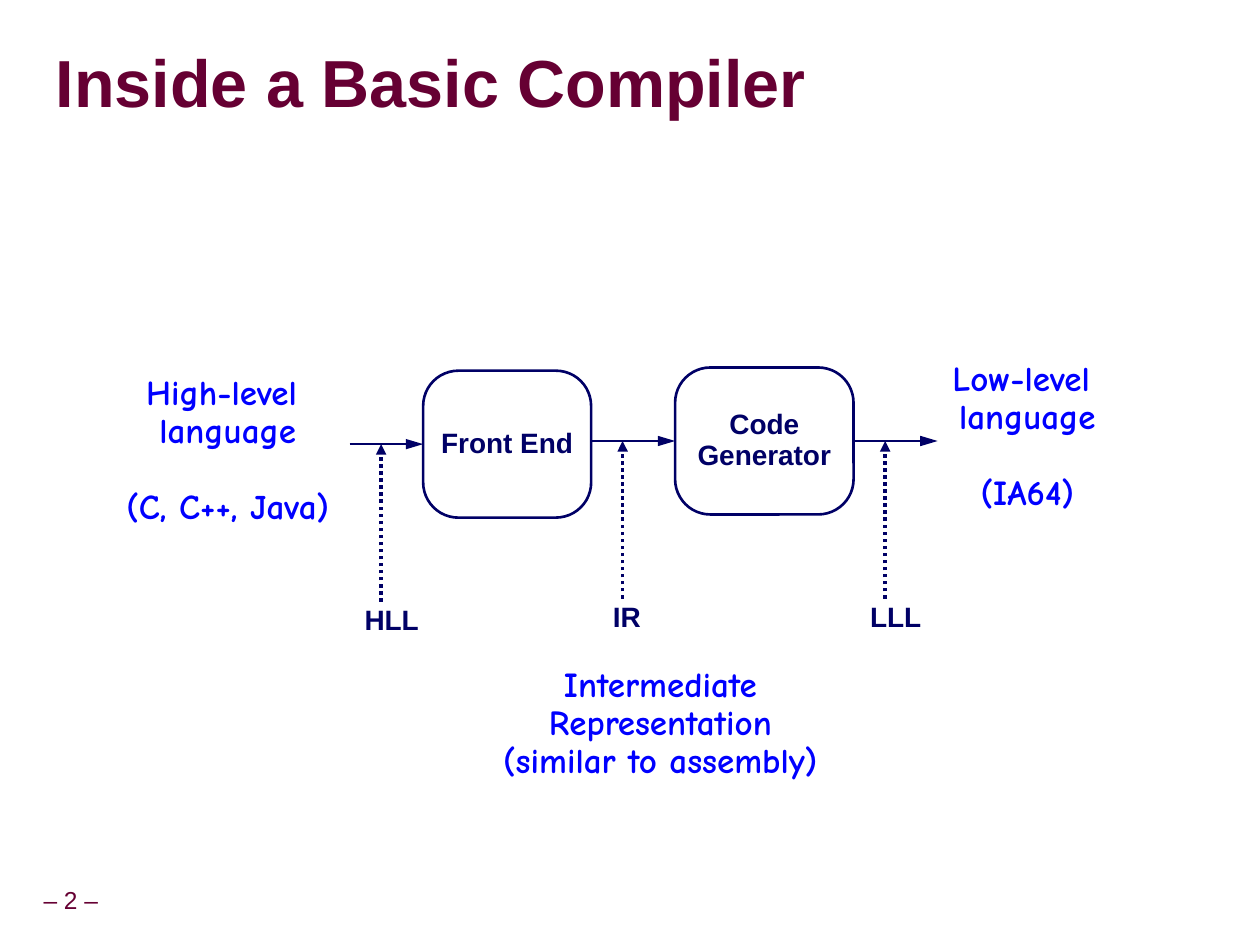
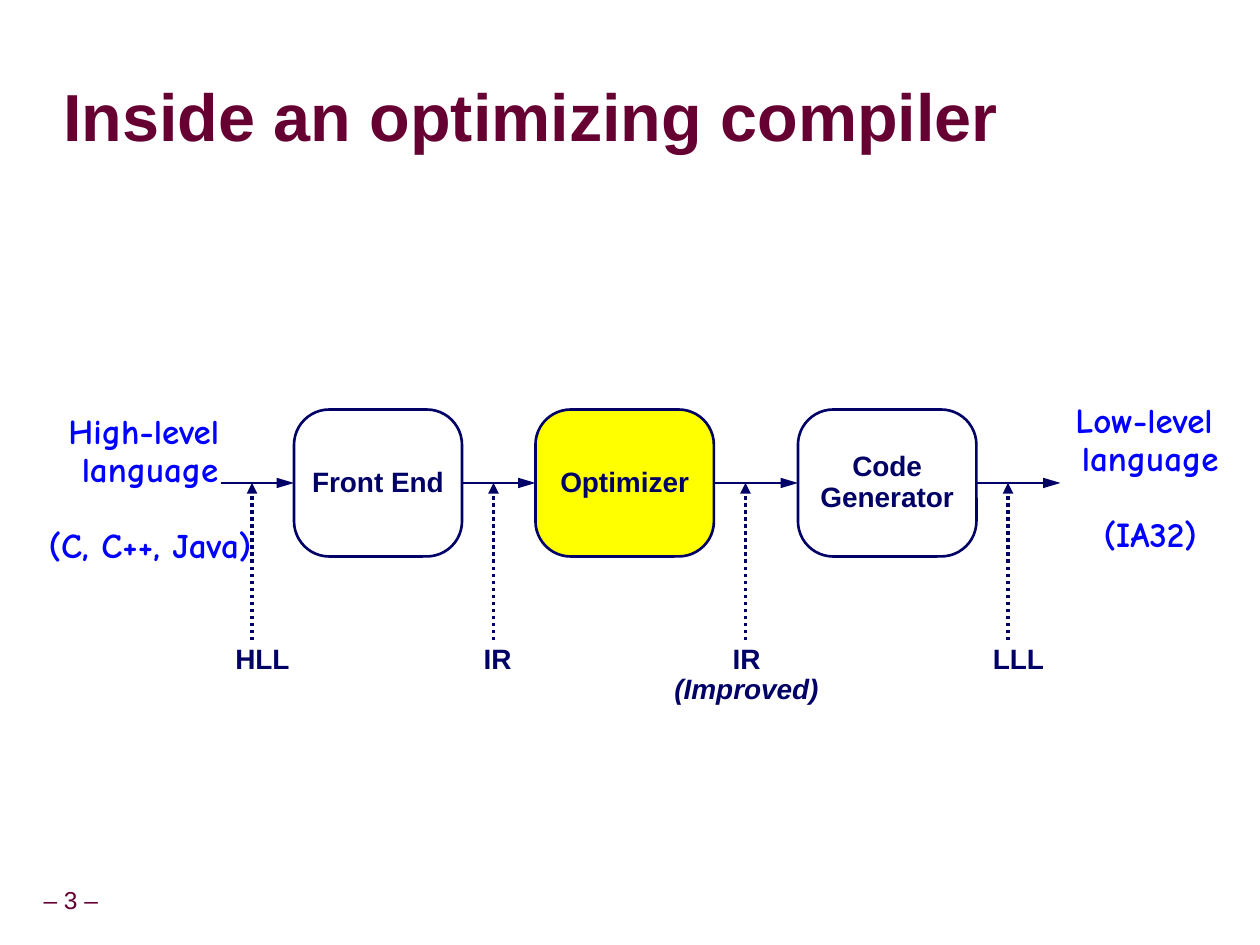
from dataclasses import dataclass

from lxml import etree
from pptx import Presentation
from pptx.dml.color import RGBColor
from pptx.enum.dml import MSO_LINE
from pptx.enum.shapes import MSO_CONNECTOR, MSO_SHAPE
from pptx.enum.text import MSO_ANCHOR, MSO_AUTO_SIZE, PP_ALIGN
from pptx.oxml import parse_xml
from pptx.oxml.ns import qn
from pptx.util import Inches, Pt

CENTER, LEFT = PP_ALIGN.CENTER, PP_ALIGN.LEFT
TOP, MIDDLE = MSO_ANCHOR.TOP, MSO_ANCHOR.MIDDLE
NO_FIT = MSO_AUTO_SIZE.NONE
STRAIGHT, ROUNDED, DOTTED = MSO_CONNECTOR.STRAIGHT, MSO_SHAPE.ROUNDED_RECTANGLE, MSO_LINE.ROUND_DOT

MAROON, NAVY, BLUE, YELLOW = "660033", "000066", "0000FF", "FFFF00"
ARIAL, COMIC = "Arial", "Comic Neue"
WIDTH, HEIGHT = Inches(10), Inches(7.5)
COLS, ROWS = 120, 90
STAGE_ROWS, POINTER_ROWS, LABEL_DROP, POINTER_INSET = 14, 15, 22, 3
NOTE_ROWS, NOTE_GAP = 15.5, Pt(21.7)
SHADOW = (
    '<a:effectLst xmlns:a="http://schemas.openxmlformats.org/drawingml/2006/main">'
    '<a:outerShdw dist="38100" dir="2700000" algn="tl"><a:srgbClr val="C0C0C0"/>'
    '</a:outerShdw></a:effectLst>'
)


@dataclass
class Flow:
    """An arrow, and the label of the language it carries."""
    length: float
    label: str
    label_cols: float
    nudge: float
    remark: str = ""


@dataclass
class Stage:
    """A compiler stage that follows a flow."""
    cols: float
    lines: tuple
    fill: str = ""
    drop: float = 0


def rgb(value):
    """Turn a hex string into a colour."""
    return RGBColor.from_string(value)


def col(n):
    """Give the length of n grid columns."""
    return round(WIDTH * n / COLS)


def row(n):
    """Give the length of n grid rows."""
    return round(HEIGHT * n / ROWS)


def frame(tf, anchor=TOP, margin_x=0.09, margin_y=0.04, wrap=False):
    """Set the margins, anchor and wrapping of a text frame."""
    tf.auto_size = NO_FIT
    tf.word_wrap = wrap
    tf.vertical_anchor = anchor
    tf.margin_left = tf.margin_right = Inches(margin_x)
    tf.margin_top = tf.margin_bottom = Inches(margin_y)


def write(tf, lines, size, font, color, bold=True, italic=False, align=CENTER, spacing=0.9):
    """Append one formatted paragraph per line and return the last one's run."""
    for line in lines:
        p = tf.paragraphs[0]
        if p.runs:
            p = tf.add_paragraph()
        p.alignment, p.line_spacing = align, spacing
        r = p.add_run()
        r.text = line
        r.font.size, r.font.name = Pt(size), font
        r.font.bold, r.font.italic = bold, italic
        r.font.color.rgb = rgb(color)
    return r


def text_box(slide, x, y, cols, rows):
    """Add an unwrapped text box on the grid and return its text frame."""
    tf = slide.shapes.add_textbox(col(x), row(y), col(cols), row(rows)).text_frame
    frame(tf)
    return tf


def note(slide, x, y, cols, lines, example=""):
    """Add a blue remark, with an example set apart below it."""
    tf = text_box(slide, x, y, cols, NOTE_ROWS)
    write(tf, lines, 20, COMIC, BLUE)
    if example:
        write(tf, [example], 20, COMIC, BLUE)
        tf.paragraphs[-1].space_before = NOTE_GAP


def arrow(slide, start, end, weight, length, dash=None):
    """Draw a navy arrow between two grid points."""
    s = slide.shapes.add_connector(
        STRAIGHT, col(start[0]), row(start[1]), col(end[0]), row(end[1]))
    s.line.color.rgb = rgb(NAVY)
    s.line.width = Pt(weight)
    if dash:
        s.line.dash_style = dash
    ln = s.line._get_or_add_ln()
    etree.SubElement(ln, qn("a:tailEnd"), type="triangle", w="med", len=length)
    etree.SubElement(s._element.spPr, qn("a:effectLst"))


def draw_stage(slide, stage, x, y):
    """Draw a rounded box for a compiler stage."""
    s = slide.shapes.add_shape(ROUNDED, col(x), row(y), col(stage.cols), row(STAGE_ROWS))
    s.adjustments[0] = 0.24
    s.shadow.inherit = False
    s.line.color.rgb = rgb(NAVY)
    s.line.width = Pt(1.5)
    if stage.fill:
        s.fill.solid()
        s.fill.fore_color.rgb = rgb(stage.fill)
    else:
        s.fill.background()
    frame(s.text_frame, MIDDLE)
    write(s.text_frame, stage.lines, 16, ARIAL, NAVY)


def draw_flow(slide, flow, x, y):
    """Draw an arrow with a dotted pointer rising from its label."""
    middle, pointer = y + STAGE_ROWS / 2, x + POINTER_INSET
    arrow(slide, (x, middle), (x + flow.length, middle), 1.5, "lg")
    arrow(slide, (pointer, middle + POINTER_ROWS), (pointer, middle), 2, "med", DOTTED)
    left = pointer + flow.nudge - flow.label_cols / 2
    tf = text_box(slide, left, y + LABEL_DROP, flow.label_cols, 4)
    write(tf, [flow.label], 16, ARIAL, NAVY)
    if flow.remark:
        write(tf, [flow.remark], 16, ARIAL, NAVY, italic=True)


def pipeline(slide, x, y, flows, stages, source_x, target):
    """Chain flows and stages from a grid point, with a note at each end."""
    note(slide, source_x, y + stages[0].drop, 21.6, ("High-level ", "language"), "(C, C++, Java)")
    for flow, stage in zip(flows, stages):
        draw_flow(slide, flow, x, y + stage.drop)
        x += flow.length
        draw_stage(slide, stage, x, y + stage.drop)
        x += stage.cols
    draw_flow(slide, flows[-1], x, y)
    note(slide, x + flows[-1].length + 0.3, y - 1.05, 16.5, ("Low-level ", "language"), target)


def titled_slide(prs, title, box, number):
    """Add a slide with a shadowed title and a page number."""
    slide = prs.slides.add_slide(prs.slide_layouts[5])
    s = slide.shapes.title
    x, y, cols, rows = box
    s.left, s.top, s.width, s.height = col(x), row(y), col(cols), row(rows)
    frame(s.text_frame, MIDDLE, 0, 0, wrap=True)
    r = write(s.text_frame, [title], 38, ARIAL, MAROON, align=LEFT, spacing=0.87)
    r._r.rPr.find(qn("a:solidFill")).addnext(parse_xml(SHADOW))
    tf = text_box(slide, -1.1, 84, 15.7, 3.7)
    frame(tf, MIDDLE, 0.05, 0.05)
    write(tf, [f"– {number} –"], 14, ARIAL, MAROON, bold=False)
    return slide


def main():
    """Build both compiler slides."""
    prs = Presentation()
    prs.slide_width, prs.slide_height = WIDTH, HEIGHT
    hll, lll = Flow(7, "HLL", 7.3, 1), Flow(8, "LLL", 7.1, 1)
    generator = Stage(17, ("Code", "Generator"))

    slide = titled_slide(prs, "Inside a Basic Compiler", (5.3, 3.2, 114.4, 10.2), 2)
    pipeline(slide, 33.3, 35, [hll, Flow(8, "IR", 4.8, 0.4), lll],
             [Stage(16, ("Front End",), drop=0.3), generator], 10.9, "(IA64)")
    note(slide, 46.8, 63.1, 32.2, ("Intermediate", "Representation", "(similar to assembly)"))

    slide = titled_slide(prs, "Inside an optimizing compiler", (6, 5, 108, 13), 3)
    improved = Flow(8, "IR", 16, 0.1, "(Improved)")
    pipeline(slide, 21, 39, [hll, Flow(7, "IR", 4.8, 0.4), improved, lll],
             [Stage(16, ("Front End",)), Stage(17, ("Optimizer",), YELLOW), generator],
             3.5, "(IA32)")
    prs.save("out.pptx")


if __name__ == "__main__":
    main()
